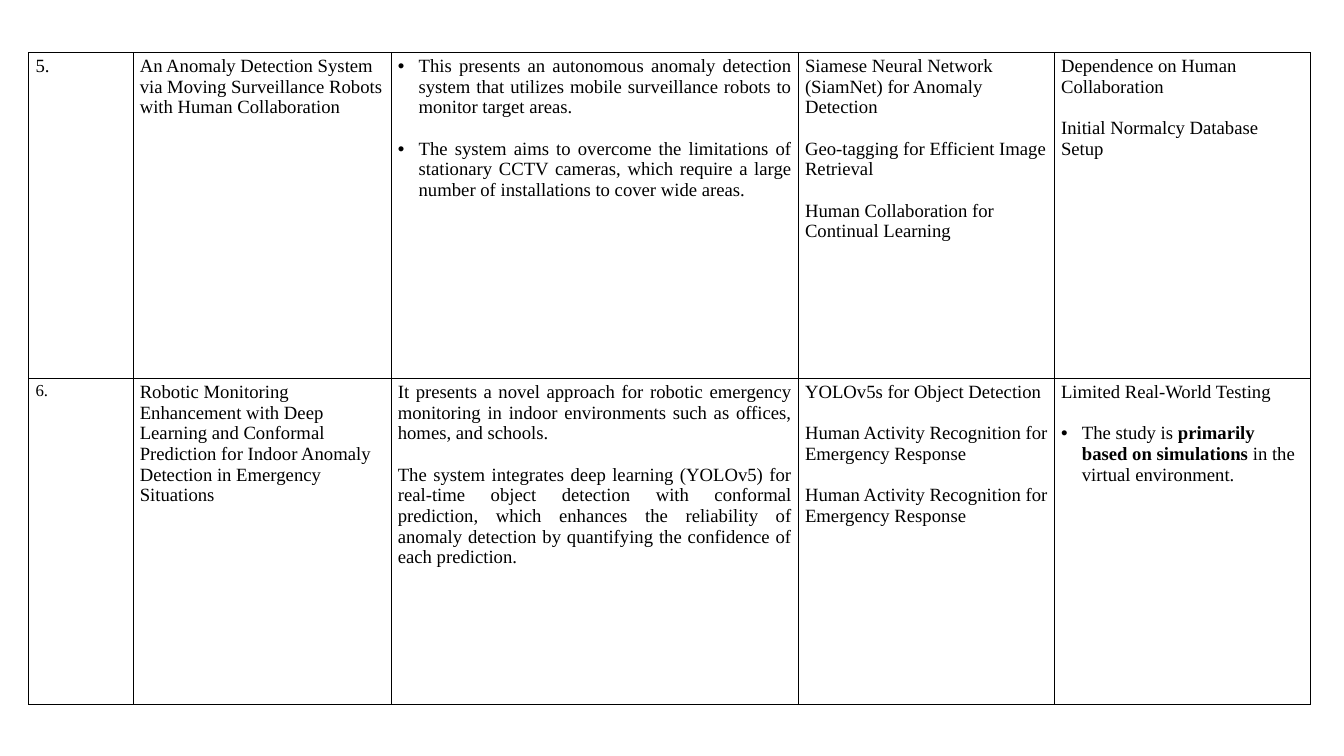
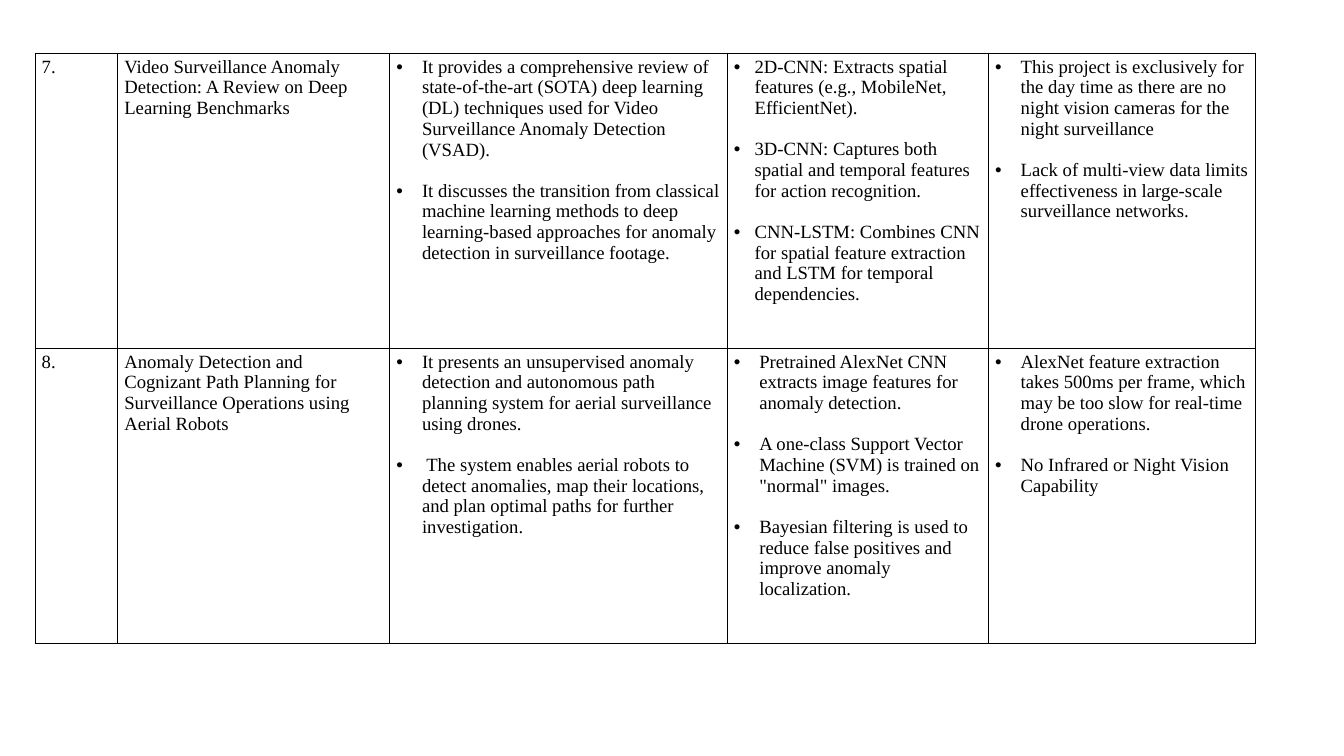
"""Build two slides of a literature survey, each a bordered table of two papers."""
from lxml.etree import SubElement as Sub
from pptx import Presentation
from pptx.dml.color import RGBColor as RGB
from pptx.enum.text import MSO_ANCHOR as ANCHOR, PP_ALIGN as ALIGN
from pptx.oxml.ns import qn
from pptx.util import Inches, Pt

COLORS = {"text": "000000", "border": "000000"}
FONT = {"name": "Times New Roman", "size": Pt(20)}
TABLE_FLAGS = {"first_row": False, "horz_banding": False}
BULLET = "• "
GAP = Pt(22)
NARROW, WIDE = 0.31, 0.38

SLIDES = [
    {
        "at": (0.43, 0.78),
        "cols": [1.55, 3.84, 6.06, 3.81, 3.81],
        "row_height": 4.85,
        "justified": [2],
        "indents": [[NARROW] * 5, [NARROW] * 5],
        "sizes": {"6.": Pt(18)},
        "papers": [
            [
                ["5."],
                ["An Anomaly Detection System via Moving Surveillance Robots with Human Collaboration"],
                ["• This presents an autonomous anomaly detection system that utilizes mobile "
                 "surveillance robots to monitor target areas.",
                 "• The system aims to overcome the limitations of stationary CCTV cameras, which "
                 "require a large number of installations to cover wide areas."],
                ["Siamese Neural Network (SiamNet) for Anomaly Detection",
                 "Geo-tagging for Efficient Image Retrieval",
                 "Human Collaboration for Continual Learning"],
                ["Dependence on Human Collaboration", "Initial Normalcy Database Setup"],
            ],
            [
                ["6."],
                ["Robotic Monitoring Enhancement with Deep Learning and Conformal Prediction for "
                 "Indoor Anomaly Detection in Emergency Situations"],
                ["It presents a novel approach for robotic emergency monitoring in indoor "
                 "environments such as offices, homes, and schools.",
                 "The system integrates deep learning (YOLOv5) for real-time object detection with "
                 "conformal prediction, which enhances the reliability of anomaly detection by "
                 "quantifying the confidence of each prediction."],
                ["YOLOv5s for Object Detection",
                 "Human Activity Recognition for Emergency Response",
                 "Human Activity Recognition for Emergency Response"],
                ["Limited Real-World Testing",
                 "• The study is **primarily based on simulations** in the virtual environment."],
            ],
        ],
    },
    {
        "at": (0.52, 0.79),
        "cols": [1.23, 4.05, 5.02, 3.89, 3.97],
        "row_height": 4.39,
        "justified": [],
        "indents": [[WIDE, WIDE, WIDE, NARROW, WIDE], [WIDE] * 5],
        "sizes": {},
        "papers": [
            [
                ["7."],
                ["Video Surveillance Anomaly Detection: A Review on Deep Learning Benchmarks"],
                ["• It provides a comprehensive review of state-of-the-art (SOTA) deep learning (DL) "
                 "techniques used for Video Surveillance Anomaly Detection (VSAD).",
                 "• It discusses the transition from classical machine learning methods to deep "
                 "learning-based approaches for anomaly detection in surveillance footage."],
                ["• 2D-CNN: Extracts spatial features (e.g., MobileNet, EfficientNet).",
                 "• 3D-CNN: Captures both spatial and temporal features for action recognition.",
                 "• CNN-LSTM: Combines CNN for spatial feature extraction and LSTM for temporal "
                 "dependencies."],
                ["• This project is exclusively for the day time as there are no night vision "
                 "cameras for the night surveillance",
                 "• Lack of multi-view data limits effectiveness in large-scale surveillance "
                 "networks."],
            ],
            [
                ["8."],
                ["Anomaly Detection and Cognizant Path Planning for Surveillance Operations using "
                 "Aerial Robots"],
                ["• It presents an unsupervised anomaly detection and autonomous path planning "
                 "system for aerial surveillance using drones.",
                 "•  The system enables aerial robots to detect anomalies, map their locations, and "
                 "plan optimal paths for further investigation."],
                ["• Pretrained AlexNet CNN extracts image features for anomaly detection.",
                 "• A one-class Support Vector Machine (SVM) is trained on \"normal\" images.",
                 "• Bayesian filtering is used to reduce false positives and improve anomaly "
                 "localization."],
                ["• AlexNet feature extraction takes 500ms per frame, which may be too slow for "
                 "real-time drone operations.",
                 "• No Infrared or Night Vision Capability"],
            ],
        ],
    },
]


def add_borders(cell):
    tcPr = cell._tc.get_or_add_tcPr()
    for side in ("lnL", "lnR", "lnT", "lnB"):
        ln = Sub(tcPr, qn(f"a:{side}"), w=str(Pt(1)))
        fill = Sub(ln, qn("a:solidFill"))
        Sub(fill, qn("a:srgbClr"), val=COLORS["border"])


def write_paragraph(p, text, indent, size):
    if text.startswith(BULLET):
        text = text[len(BULLET):]
        pPr = p._p.get_or_add_pPr()
        pPr.set("marL", str(Inches(indent)))
        pPr.set("indent", str(-Inches(indent)))
        Sub(pPr, qn("a:buFont"), typeface="Arial")
        Sub(pPr, qn("a:buChar"), char=BULLET.strip())
    for i, part in enumerate(text.split("**")):
        r = p.add_run()
        r.text = part
        for key, value in {**FONT, "size": size, "bold": i % 2 == 1}.items():
            setattr(r.font, key, value)
        r.font.color.rgb = RGB.from_string(COLORS["text"])


prs = Presentation()
prs.slide_width, prs.slide_height = Inches(20), Inches(11.25)

for page in SLIDES:
    s = prs.slides.add_slide(prs.slide_layouts[6])
    papers, cols, height = page["papers"], page["cols"], page["row_height"]
    left, top = page["at"]
    table = s.shapes.add_table(len(papers), len(cols), Inches(left), Inches(top),
                               Inches(sum(cols)), Inches(height * len(papers))).table
    for key, value in TABLE_FLAGS.items():
        setattr(table, key, value)
    for column, width in zip(table.columns, cols):
        column.width = Inches(width)
    for row, paper in enumerate(papers):
        table.rows[row].height = Inches(height)
        for col, texts in enumerate(paper):
            cell = table.cell(row, col)
            add_borders(cell)
            cell.fill.background()
            cell.vertical_anchor = ANCHOR.TOP
            tf = cell.text_frame
            for i, text in enumerate(texts):
                p = tf.add_paragraph() if i else tf.paragraphs[0]
                p.alignment = ALIGN.JUSTIFY if col in page["justified"] else ALIGN.LEFT
                if i:
                    p.space_before = GAP
                size = page["sizes"].get(text, FONT["size"])
                write_paragraph(p, text, page["indents"][row][col], size)

prs.save("out.pptx")
